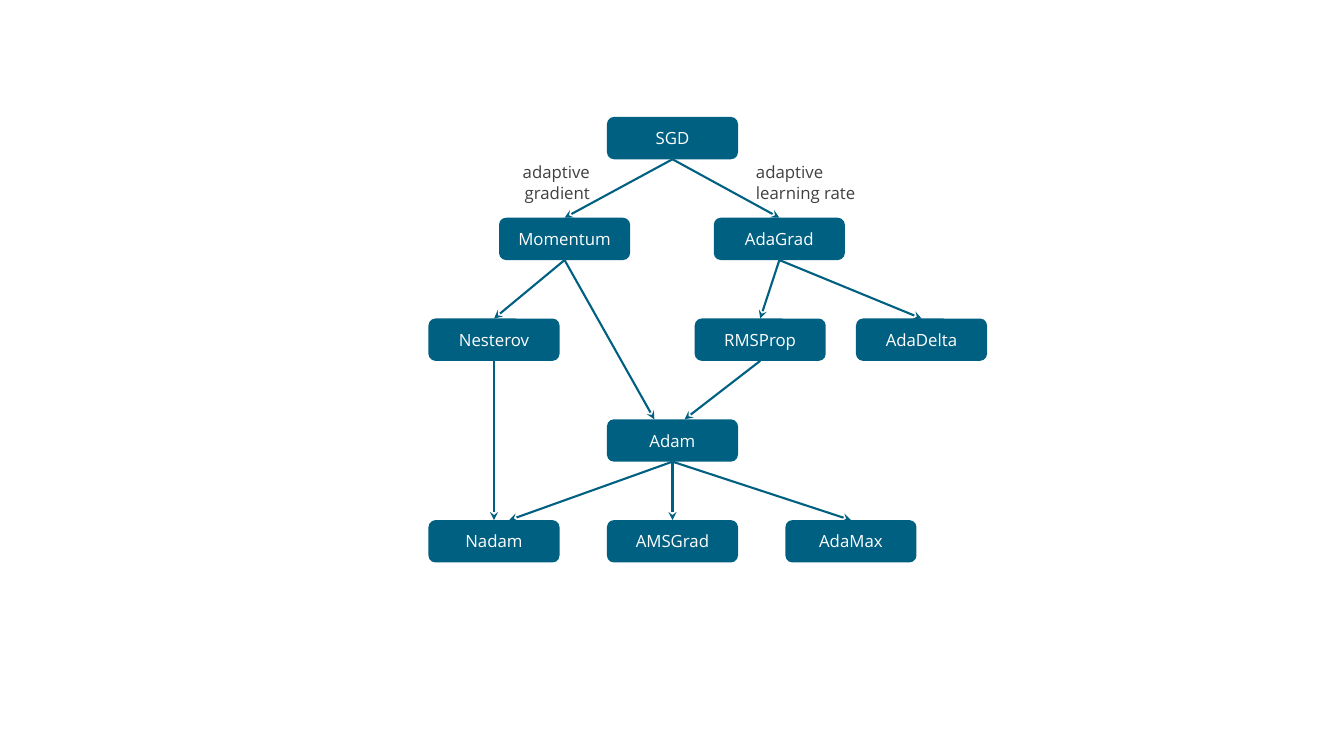
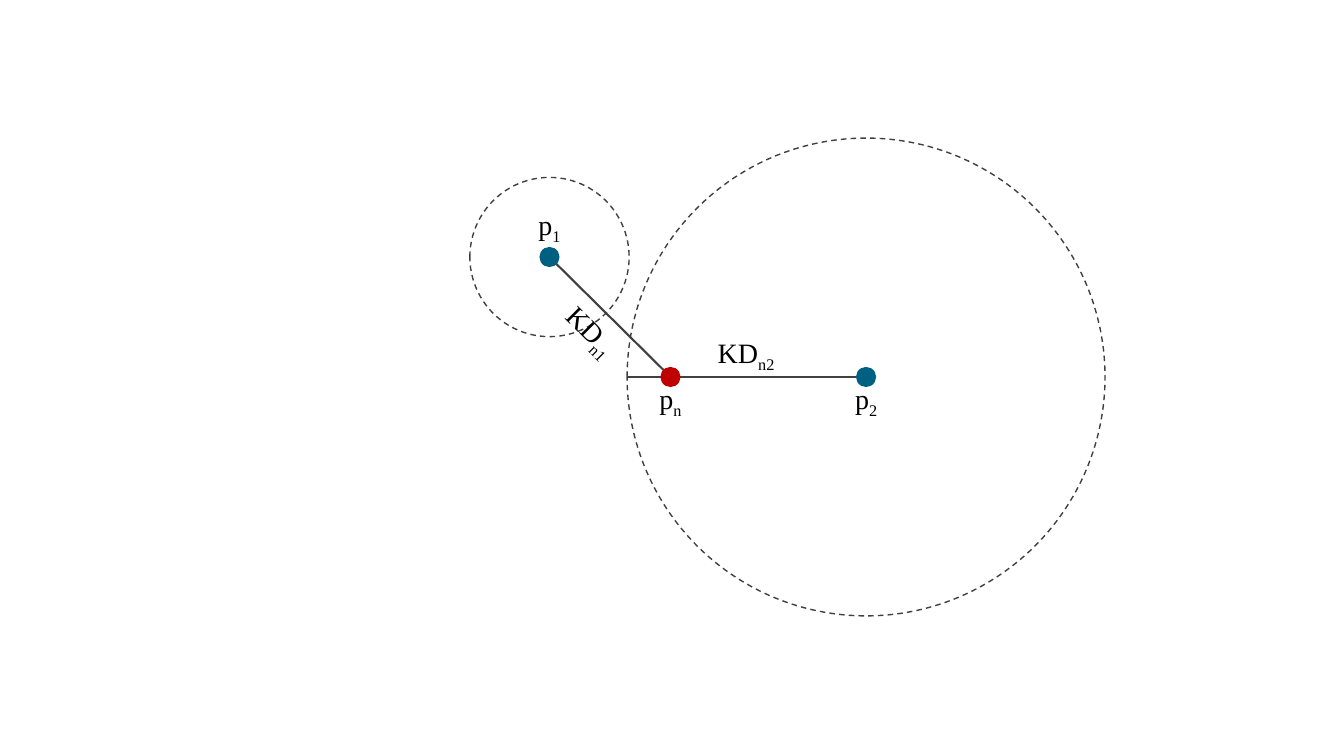
from lxml import etree
from pptx import Presentation
from pptx.dml.color import RGBColor
from pptx.enum.dml import MSO_LINE
from pptx.enum.shapes import MSO_CONNECTOR, MSO_SHAPE
from pptx.enum.text import MSO_ANCHOR, MSO_AUTO_SIZE, PP_ALIGN
from pptx.oxml.ns import qn
from pptx.util import Inches, Pt

BLUE = RGBColor(0x00, 0x60, 0x82)
GRAY = RGBColor(0x40, 0x40, 0x40)
RED = RGBColor(0xC0, 0x00, 0x00)
BLACK = RGBColor(0x00, 0x00, 0x00)
WHITE = RGBColor(0xFF, 0xFF, 0xFF)
SANS, SERIF = "Open Sans", "Times New Roman"

ROUND, OVAL = MSO_SHAPE.ROUNDED_RECTANGLE, MSO_SHAPE.OVAL
DOT = MSO_SHAPE.FLOWCHART_CONNECTOR
STRAIGHT, DASH = MSO_CONNECTOR.STRAIGHT, MSO_LINE.DASH
LEFT, CENTER, RIGHT = PP_ALIGN.LEFT, PP_ALIGN.CENTER, PP_ALIGN.RIGHT
MIDDLE, GROW = MSO_ANCHOR.MIDDLE, MSO_AUTO_SIZE.SHAPE_TO_FIT_TEXT
TOP, BOTTOM = 0, 2

# Optimizer tree: name -> (center from the tree's left, row)
NODE_W, NODE_H, ROW_H = 1.3, 0.42, 1.0
NODES = {
    "SGD": (2.42, 0),
    "Momentum": (1.35, 1), "AdaGrad": (3.48, 1),
    "Nesterov": (0.65, 2), "RMSProp": (3.29, 2), "AdaDelta": (4.89, 2),
    "Adam": (2.42, 3),
    "Nadam": (0.65, 4), "AMSGrad": (2.42, 4), "AdaMax": (4.19, 4),
}
# Parent, child, shift of the arrow tip from the child's middle
EDGES = [
    ("SGD", "Momentum", 0), ("SGD", "AdaGrad", 0),
    ("Momentum", "Nesterov", 0), ("Momentum", "Adam", -0.18),
    ("AdaGrad", "RMSProp", 0), ("AdaGrad", "AdaDelta", 0),
    ("RMSProp", "Adam", 0.12), ("Nesterov", "Nadam", 0),
    ("Adam", "Nadam", 0.15), ("Adam", "AMSGrad", 0), ("Adam", "AdaMax", 0),
]


def add_form(slide, kind, x, y, w, h, fill=None, dash=None):
    """Add a filled shape, or a dashed outline when no fill is given."""
    form = slide.shapes.add_shape(kind, Inches(x), Inches(y), Inches(w), Inches(h))
    form.shadow.inherit = False
    if fill is None:
        form.fill.background()
        form.line.color.rgb = GRAY
        form.line.width = Pt(1)
        form.line.dash_style = dash
    else:
        form.fill.solid()
        form.fill.fore_color.rgb = fill
        form.line.fill.background()
    return form


def add_line(slide, x1, y1, x2, y2, color, arrow=False):
    line = slide.shapes.add_connector(
        STRAIGHT, Inches(x1), Inches(y1), Inches(x2), Inches(y2))
    line.line.color.rgb = color
    line.line.width = Pt(1.5)
    props = line._element.spPr
    if arrow:
        etree.SubElement(props.find(qn("a:ln")), qn("a:tailEnd"), type="stealth")
    etree.SubElement(props, qn("a:effectLst"))
    return line


def set_text(frame, text, face, size, color, align, sub=""):
    """Write one paragraph, with an optional subscript."""
    para = frame.paragraphs[0]
    para.alignment = align
    para.font.name, para.font.size = face, Pt(size)
    para.font.color.rgb = color
    para.add_run().text = text
    if sub:
        run = para.add_run()
        run.text = sub
        run._r.get_or_add_rPr().set("baseline", "-25000")


def add_label(slide, x, y, w, h, *text, turn=0):
    box = slide.shapes.add_textbox(Inches(x), Inches(y), Inches(w), Inches(h))
    box.rotation = turn
    box.text_frame.word_wrap = True
    box.text_frame.auto_size = GROW
    set_text(box.text_frame, *text)


def draw_tree(slide, left, top):
    # Boxes
    boxes = {}
    for name, (mid, row) in NODES.items():
        box = add_form(slide, ROUND, left + mid - NODE_W / 2, top + row * ROW_H,
                       NODE_W, NODE_H, BLUE)
        box.text_frame.vertical_anchor = MIDDLE
        set_text(box.text_frame, name, SANS, 12, WHITE, CENTER)
        boxes[name] = box

    # Arrows
    for parent, child, shift in EDGES:
        (x1, row1), (x2, row2) = NODES[parent], NODES[child]
        line = add_line(slide, left + x1, top + row1 * ROW_H + NODE_H,
                        left + x2 + shift, top + row2 * ROW_H, BLUE, arrow=True)
        line.begin_connect(boxes[parent], BOTTOM)
        if not shift:
            line.end_connect(boxes[child], TOP)

    # Branch labels
    for x, w, text, align in [(0.63, 1.07, "adaptive gradient", RIGHT),
                              (3.15, 1.4, "adaptive learning rate", LEFT)]:
        add_label(slide, left + x, top + 0.4, w, 0.5, text, SANS, 12, GRAY, align)


def draw_reach(slide, left, top):
    """Draw two points with their circles and a new point between them."""
    size, gap = 0.2, 0.07
    p1, p2, pn = (0.79, 1.19), (3.93, 2.38), (1.99, 2.38)

    # Circles
    for (x, y), radius in [(p1, 0.79), (p2, 2.37)]:
        add_form(slide, OVAL, left + x - radius, top + y - radius,
                 2 * radius, 2 * radius, dash=DASH)

    # Distances
    add_line(slide, left + p2[0] - size / 2, top + p2[1],
             left + p2[0] - 2.37, top + p2[1], GRAY)
    add_line(slide, left + pn[0] - gap, top + pn[1] - gap,
             left + p1[0] + gap, top + p1[1] + gap, GRAY)

    # Points and their names
    for (x, y), color, sub, drop in [(p1, BLUE, "1", -0.54),
                                     (p2, BLUE, "2", 0), (pn, RED, "n", 0)]:
        add_form(slide, DOT, left + x - size / 2, top + y - size / 2,
                 size, size, color)
        add_label(slide, left + x - 0.29, top + y + drop, 0.58, 0.44,
                  "p", SERIF, 20, BLACK, CENTER, sub)

    # Distance names
    for x, y, sub, turn in [(0.78, 1.7, "n1", 45), (2.31, 1.92, "n2", 0)]:
        add_label(slide, left + x, top + y, 0.86, 0.44,
                  "KD", SERIF, 20, BLACK, CENTER, sub, turn=turn)


def main():
    deck = Presentation()
    deck.slide_width, deck.slide_height = Inches(13.33), Inches(7.5)
    blank = deck.slide_layouts[6]
    draw_tree(deck.slides.add_slide(blank), 4.25, 1.16)
    draw_reach(deck.slides.add_slide(blank), 4.66, 1.36)
    deck.save("out.pptx")


if __name__ == "__main__":
    main()
